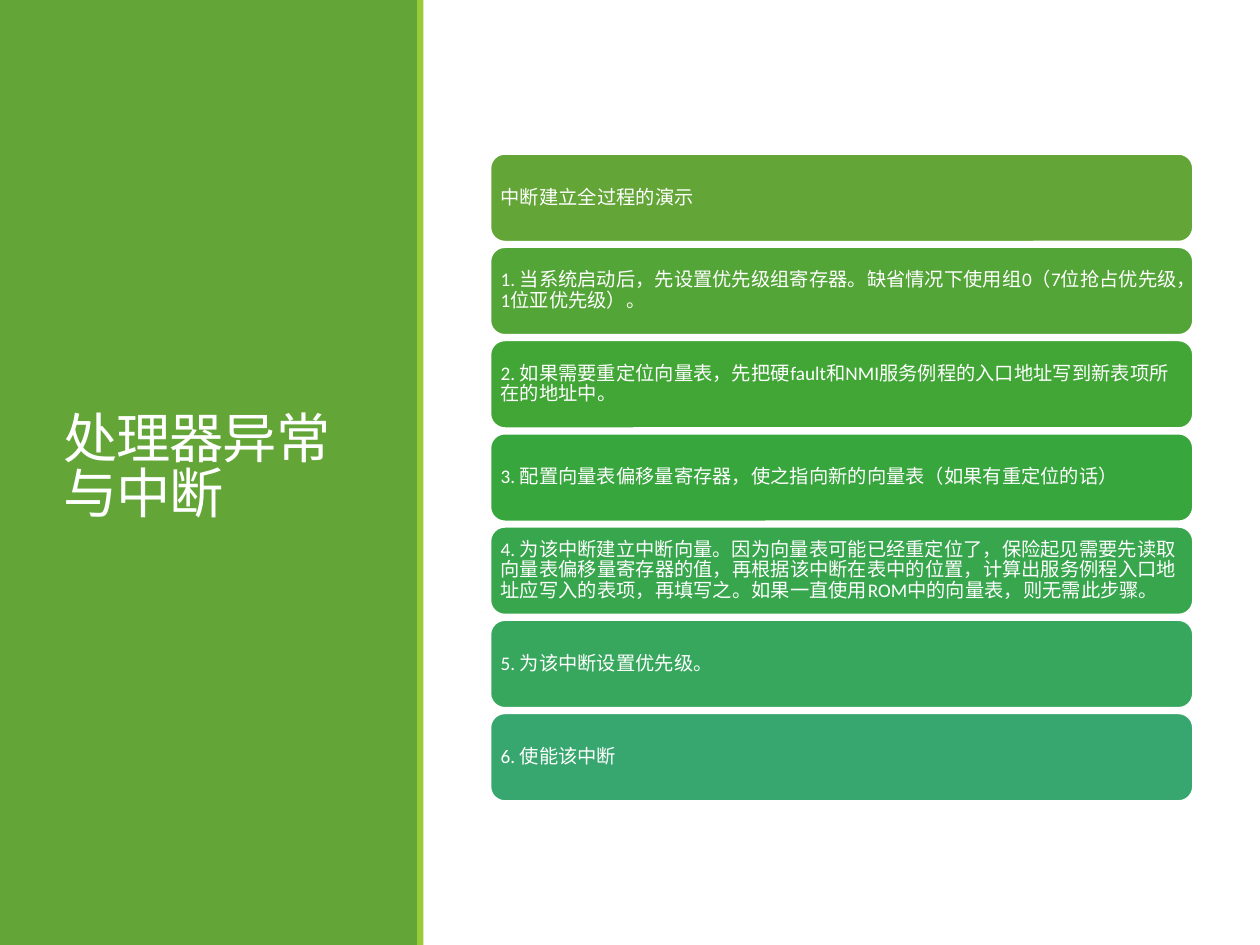
"""Build the slide on setting up an interrupt, with a title panel and step cards."""
from pptx import Presentation
from pptx.dml.color import RGBColor
from pptx.enum.shapes import MSO_SHAPE
from pptx.enum.text import MSO_ANCHOR, PP_ALIGN
from pptx.util import Inches, Pt

RECT, ROUND = MSO_SHAPE.RECTANGLE, MSO_SHAPE.ROUNDED_RECTANGLE
MIDDLE, LEFT = MSO_ANCHOR.MIDDLE, PP_ALIGN.LEFT
WHITE, GREEN, LIME = "FFFFFF", "63A537", "99CB38"

TITLE = "处理器异常与中断"
STEPS = [
    ("中断建立全过程的演示", GREEN),
    ("1. 当系统启动后，先设置优先级组寄存器。缺省情况下使用组0（7位抢占优先级，1位亚优先级）。", "53A537"),
    ("2. 如果需要重定位向量表，先把硬fault和NMI服务例程的入口地址写到新表项所在的地址中。", "42A637"),
    ("3. 配置向量表偏移量寄存器，使之指向新的向量表（如果有重定位的话）", "37A63D"),
    ("4. 为该中断建立中断向量。因为向量表可能已经重定位了，保险起见需要先读取"
     "向量表偏移量寄存器的值，再根据该中断在表中的位置，计算出服务例程入口地址"
     "应写入的表项，再填写之。如果一直使用ROM中的向量表，则无需此步骤。", "37A64D"),
    ("5. 为该中断设置优先级。", "37A75E"),
    ("6. 使能该中断", "37A76F"),
]
PANELS = [((0, 0, 3.32, 7.5), GREEN), ((3.31, 0, 0.05, 7.5), LIME)]
CARD_X, CARD_Y, CARD_W, CARD_H, PITCH = 3.89, 1.22, 5.58, 0.7, 0.74


def color(code):
    return RGBColor.from_string(code)


def add_box(slide, kind, place, fill):
    box = slide.shapes.add_shape(kind, *map(Inches, place))
    box.shadow.inherit = False
    box.fill.solid()
    box.fill.fore_color.rgb = color(fill)
    box.line.fill.background()
    return box


def set_text(shape, text, font, size, space):
    frame = shape.text_frame
    frame.word_wrap = True
    frame.vertical_anchor = MIDDLE
    para = frame.paragraphs[0]
    para.text = text
    para.alignment = LEFT
    para.line_spacing = space
    para.font.name = font
    para.font.size = Pt(size)
    para.font.color.rgb = color(WHITE)
    return frame


def add_title(slide):
    title = slide.shapes.title
    title.left, title.top, title.width, title.height = map(Inches, (0.4, 0.57, 2.53, 6.31))
    frame = set_text(title, TITLE, "Noto Sans CJK SC", 31, 0.85)
    frame.paragraphs[0].runs[0]._r.get_or_add_rPr().set("spc", "-50")


def add_card(slide, row, text, fill):
    place = (CARD_X, CARD_Y + row * PITCH, CARD_W, CARD_H)
    card = add_box(slide, ROUND, place, fill)
    card.line.color.rgb = color(WHITE)
    card.line.width = Pt(1.25)
    frame = set_text(card, text, "Calibri", 11, 0.9)
    frame.margin_left = frame.margin_right = Inches(0.05)
    frame.margin_top = frame.margin_bottom = Inches(0.05)


def main():
    deck = Presentation()
    deck.slide_width, deck.slide_height = Inches(10), Inches(7.5)
    slide = deck.slides.add_slide(deck.slide_layouts[5])
    for place, fill in PANELS:
        add_box(slide, RECT, place, fill)
    tree = slide.shapes.title._element.getparent()
    tree.append(slide.shapes.title._element)
    add_title(slide)
    for row, (text, fill) in enumerate(STEPS):
        add_card(slide, row, text, fill)
    deck.save("out.pptx")


if __name__ == "__main__":
    main()
